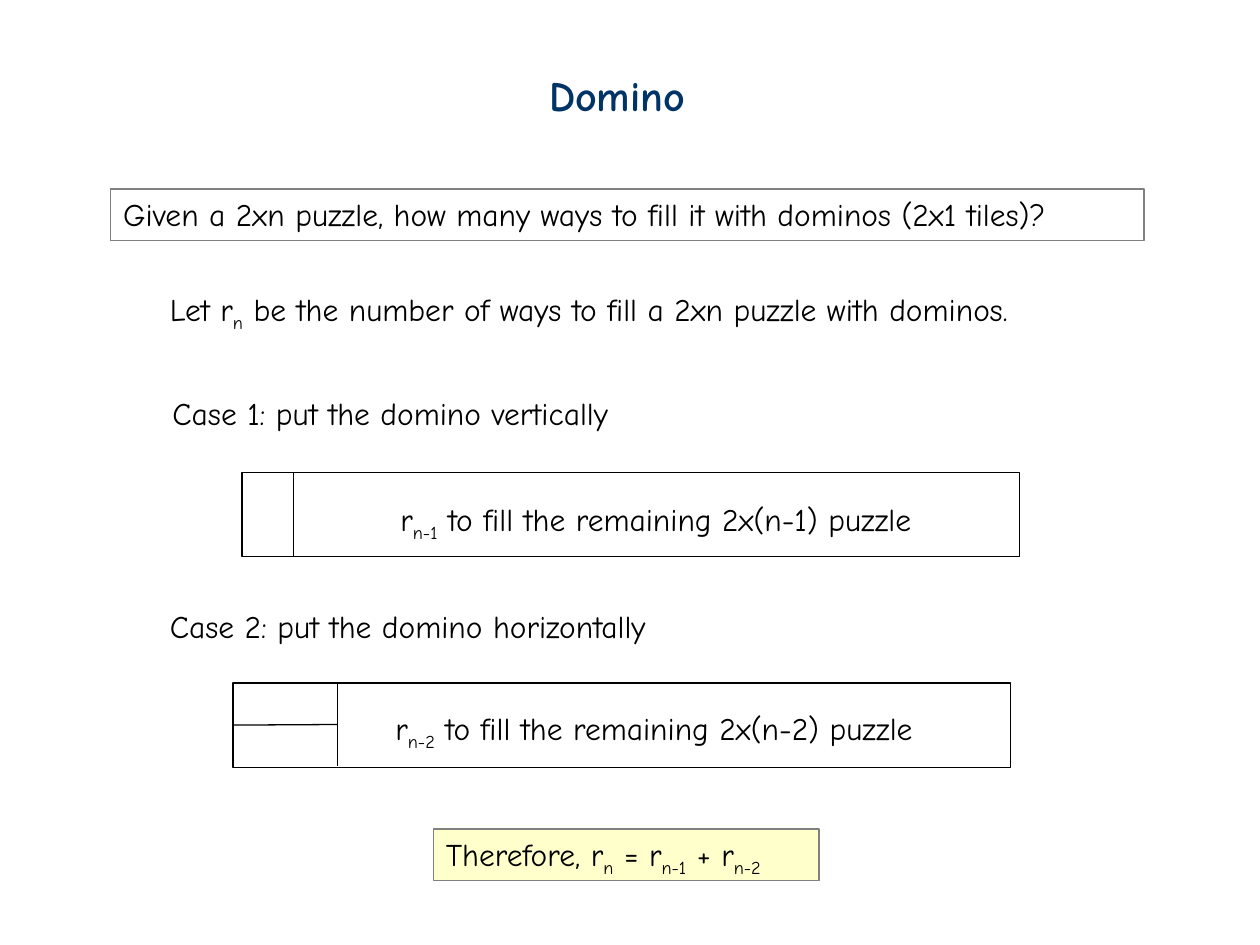
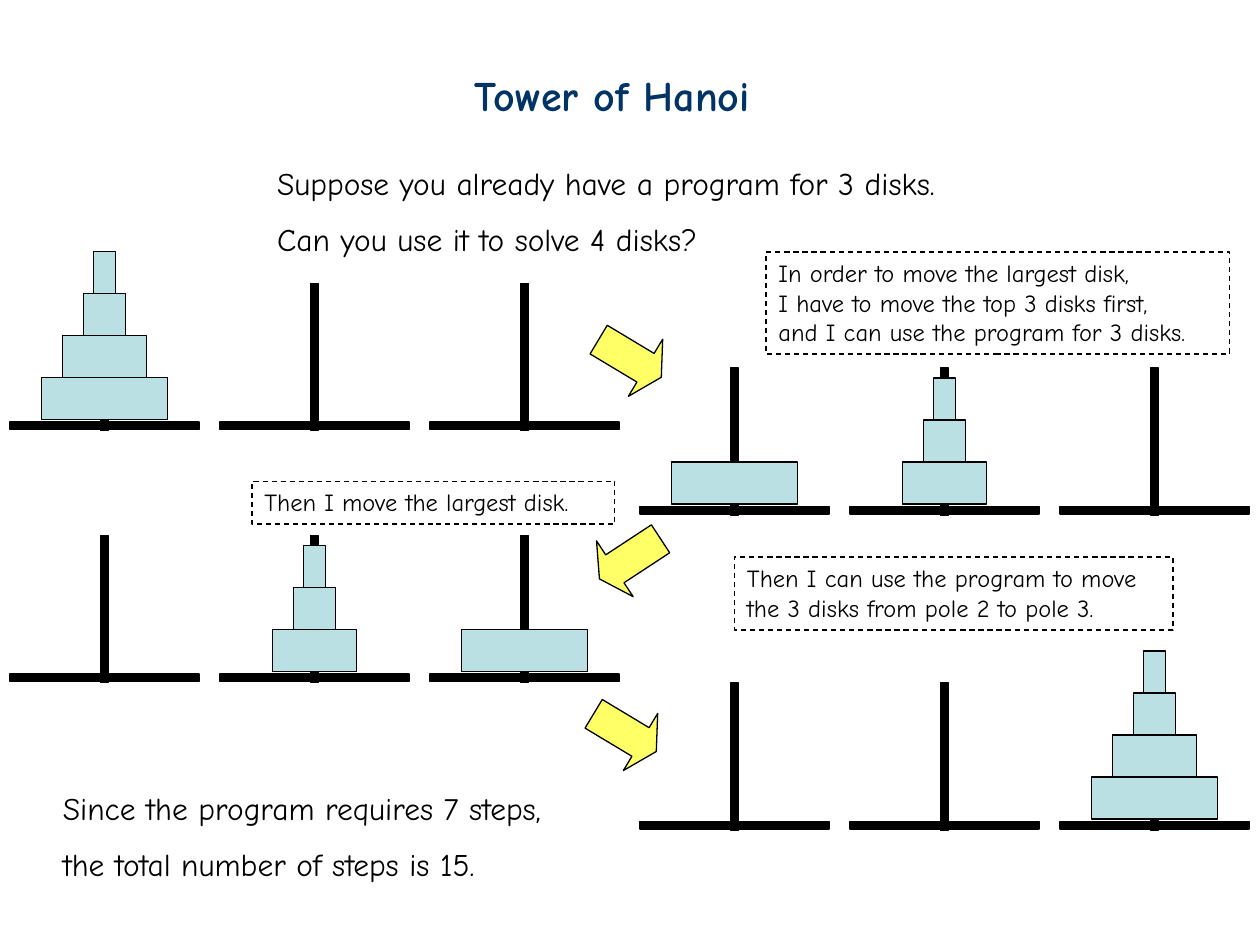
from dataclasses import dataclass

from lxml.etree import SubElement
from pptx import Presentation
from pptx.dml.color import RGBColor
from pptx.enum.dml import MSO_LINE
from pptx.enum.shapes import MSO_CONNECTOR, MSO_SHAPE
from pptx.enum.text import MSO_ANCHOR, PP_ALIGN
from pptx.oxml.ns import qn
from pptx.util import Inches, Pt


@dataclass(frozen=True)
class Theme:
    font: str = "Comic Neue"
    ink: str = "000000"
    title: str = "003366"
    frame: str = "808080"
    answer: str = "FFFFCC"
    disk: str = "BBE0E3"
    arrow: str = "FFFF66"
    title_size: int = 24
    body_size: int = 18
    note_size: int = 14
    line_width: float = 0.75


THEME = Theme()
DISK_WIDTHS = {1: 0.17, 2: 0.33, 3: 0.67, 4: 1}
DISK_HEIGHT = 1 / 3
POLE_GAP = 5 / 3
POLE_HEIGHT = 1.17
BAR = 0.06
BASE_WIDTH = 1.5
BASE_OFFSET = 1.1
STACK_OFFSET = 1.08


def write_text(shape, text, size=THEME.body_size, color=THEME.ink, bold=False, spacing=1.0):
    """Each line is a paragraph; text in braces is a subscript."""
    frame = shape.text_frame
    frame.word_wrap = True
    frame.vertical_anchor = MSO_ANCHOR.TOP
    for index, line in enumerate(text.split("\n")):
        paragraph = frame.add_paragraph() if index else frame.paragraphs[0]
        paragraph.alignment = PP_ALIGN.LEFT
        paragraph.line_spacing = spacing if index else 1.0
        for position, part in enumerate(line.replace("}", "{").split("{")):
            if not part:
                continue
            run = paragraph.add_run()
            run.text = part
            run.font.name = THEME.font
            run.font.size = Pt(size)
            run.font.bold = bold
            run.font.color.rgb = RGBColor.from_string(color)
            if position % 2:
                run._r.get_or_add_rPr().set("baseline", "-25000")


class Deck:
    def __init__(self, theme):
        self.theme = theme
        self.presentation = Presentation()
        self.presentation.slide_width = Inches(10)
        self.presentation.slide_height = Inches(7.5)
        self.slide = None

    def new_slide(self, title, left, width):
        self.slide = self.presentation.slides.add_slide(self.presentation.slide_layouts[6])
        self.text(title, left, 0.5, width, 0.5, size=self.theme.title_size,
                  color=self.theme.title, bold=True)

    def text(self, text, left, top, width, height, **style):
        box = self.slide.shapes.add_textbox(
            Inches(left), Inches(top), Inches(width), Inches(height))
        write_text(box, text, **style)

    def shape(self, left, top, width, height, fill=None, line=None,
              kind=MSO_SHAPE.RECTANGLE, parent=None):
        shape = (parent or self.slide).shapes.add_shape(
            kind, Inches(left), Inches(top), Inches(width), Inches(height))
        shape.shadow.inherit = False
        if fill:
            shape.fill.solid()
            shape.fill.fore_color.rgb = RGBColor.from_string(fill)
        else:
            shape.fill.background()
        shape.line.color.rgb = RGBColor.from_string(line or self.theme.ink)
        shape.line.width = Pt(self.theme.line_width)
        return shape

    def framed_text(self, text, left, top, width, height, fill=None):
        write_text(self.shape(left, top, width, height, fill, self.theme.frame), text)

    def note(self, text, left, top, width, height):
        note = self.shape(left, top, width, height)
        note.line.dash_style = MSO_LINE.DASH
        write_text(note, text, size=self.theme.note_size)

    def line(self, start, end):
        connector = self.slide.shapes.add_connector(
            MSO_CONNECTOR.STRAIGHT, *(Inches(value) for value in (*start, *end)))
        connector.line.color.rgb = RGBColor.from_string(self.theme.ink)
        connector.line.width = Pt(self.theme.line_width)
        SubElement(connector._element.spPr, qn("a:effectLst"))
        return connector

    def arrow(self, left, top, rotation):
        arrow = self.shape(left, top, 0.58, 0.53, self.theme.arrow, kind=MSO_SHAPE.RIGHT_ARROW)
        arrow.adjustments[0] = 0.5
        arrow.adjustments[1] = 0.275
        arrow.rotation = rotation

    def pole(self, center, top):
        group = self.slide.shapes.add_group_shape()
        ink = self.theme.ink
        self.shape(center - BAR / 2, top, BAR, POLE_HEIGHT, ink, parent=group)
        self.shape(center - BASE_WIDTH / 2, top + BASE_OFFSET, BASE_WIDTH, BAR, ink, parent=group)

    def towers(self, first_center, top, stacks):
        for index, stack in enumerate(stacks):
            center = first_center + index * POLE_GAP
            self.pole(center, top)
            for level, disk in enumerate(stack, start=1):
                width = DISK_WIDTHS[disk]
                self.shape(center - width / 2, top + STACK_OFFSET - level * DISK_HEIGHT,
                           width, DISK_HEIGHT, self.theme.disk)


def build_domino(deck):
    deck.new_slide("Domino", 4.26, 1.32)
    deck.framed_text("Given a 2xn puzzle, how many ways to fill it with dominos (2x1 tiles)?",
                     0.88, 1.5, 8.2, 0.41)
    deck.text("Let r{n} be the number of ways to fill a 2xn puzzle with dominos.",
              1.25, 2.25, 7.49, 0.4)

    deck.text("Case 1: put the domino vertically", 1.27, 3.08, 3.98, 0.4)
    deck.shape(1.92, 3.75, 6.17, 0.67)
    deck.line((2.33, 3.75), (2.33, 4.42))
    deck.text("r{n-1} to fill the remaining 2x(n-1) puzzle", 3.08, 3.92, 4.66, 0.4)

    deck.text("Case 2: put the domino horizontally", 1.25, 4.77, 4.3, 0.4)
    puzzle = deck.shape(1.85, 5.42, 6.17, 0.67)
    deck.line((1.85, 5.75), (2.68, 5.75)).begin_connect(puzzle, 1)
    for top, bottom in ((5.42, 5.75), (5.75, 6.08)):
        deck.line((2.68, bottom), (2.68, top))
    deck.text("r{n-2} to fill the remaining 2x(n-2) puzzle", 3.04, 5.58, 4.73, 0.4)

    deck.framed_text("Therefore, r{n} = r{n-1} + r{n-2}", 3.44, 6.58, 3.06, 0.41,
                     fill=deck.theme.answer)


def build_hanoi(deck):
    deck.new_slide("Tower of Hanoi", 3.67, 2.7)
    deck.text("Suppose you already have a program for 3 disks.\nCan you use it to solve 4 disks?",
              2.1, 1.25, 5.82, 0.85, spacing=1.5)

    left_scene, right_scene = 0.83, 5.83
    whole_tower, largest, top_three = (4, 3, 2, 1), (4,), (3, 2, 1)
    deck.towers(left_scene, 2.25, (whole_tower, (), ()))
    deck.towers(right_scene, 2.92, (largest, top_three, ()))
    deck.towers(left_scene, 4.25, ((), top_three, largest))
    deck.towers(right_scene, 5.42, ((), (), whole_tower))

    for left, top, rotation in ((4.71, 2.58, 31), (4.71, 4.17, 146.7), (4.67, 5.55, 31)):
        deck.arrow(left, top, rotation)

    deck.note("In order to move the largest disk,\nI have to move the top 3 disks first,\n"
              "and I can use the program for 3 disks.", 6.08, 2, 3.68, 0.81)
    deck.note("Then I move the largest disk.", 2, 3.82, 2.88, 0.34)
    deck.note("Then I can use the program to move\nthe 3 disks from pole 2 to pole 3.",
              5.83, 4.42, 3.48, 0.58)
    deck.text("Since the program requires 7 steps,\nthe total number of steps is 15.",
              0.4, 6.21, 4.39, 0.85, spacing=1.5)


def main():
    deck = Deck(THEME)
    build_domino(deck)
    build_hanoi(deck)
    deck.presentation.save("out.pptx")


if __name__ == "__main__":
    main()
